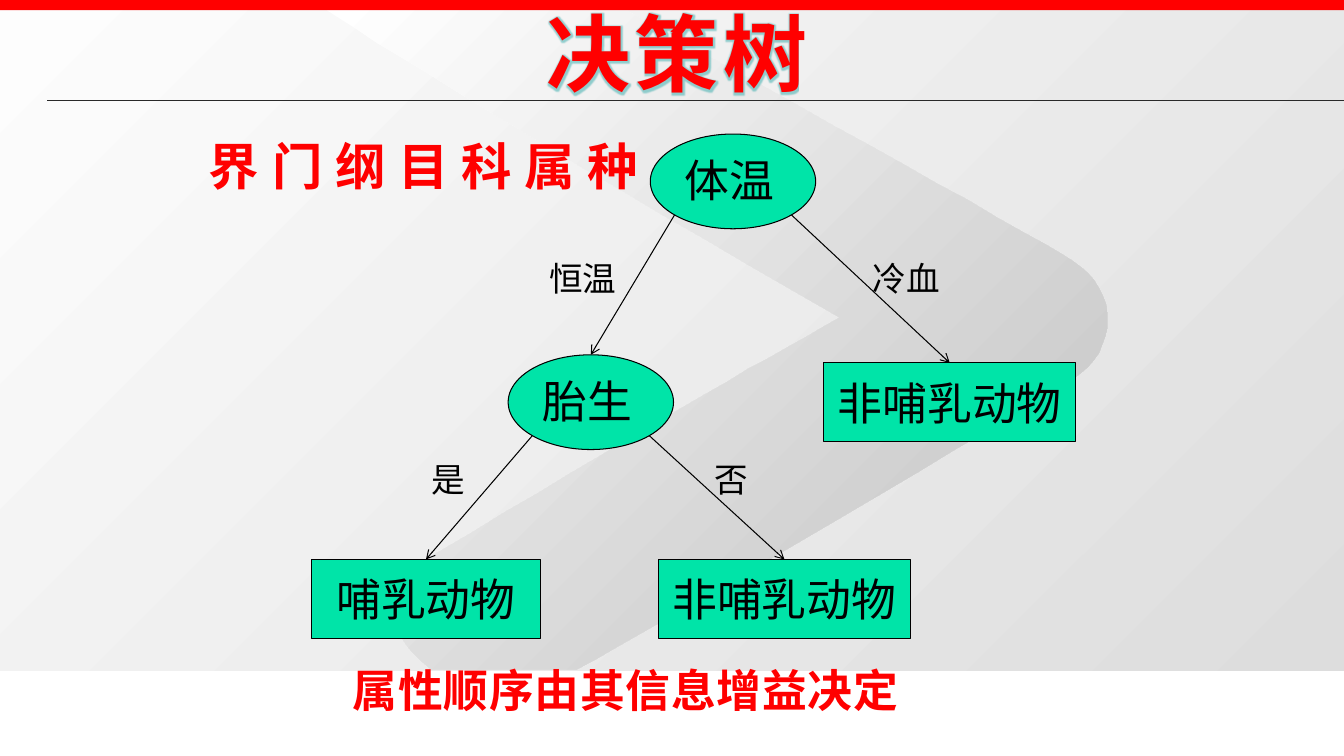
from math import sqrt

from lxml import etree
from pptx import Presentation
from pptx.dml.color import RGBColor
from pptx.enum.shapes import MSO_CONNECTOR, MSO_SHAPE
from pptx.enum.text import MSO_ANCHOR, PP_ALIGN
from pptx.oxml import parse_xml
from pptx.oxml.ns import nsdecls, qn
from pptx.util import Pt

PX = 9144  # 100 px to the inch
RECT, OVAL = MSO_SHAPE.RECTANGLE, MSO_SHAPE.OVAL
STRAIGHT = MSO_CONNECTOR.STRAIGHT
LEFT, CENTER = PP_ALIGN.LEFT, PP_ALIGN.CENTER
TOP, MIDDLE = MSO_ANCHOR.TOP, MSO_ANCHOR.MIDDLE

FONT = "Noto Sans CJK JP"
TITLE_FONT = "Noto Sans CJK SC"
RED, BLACK, GREEN = "FF0000", "000000", "00E4A8"

# Chevron outline: a 2-tuple is a straight step, a 6-tuple a Bezier curve
CHEVRON_START = (1064, 376)
CHEVRON = [
    (1019, 404, 656, 620, 572, 664),
    (427, 664),
    (404, 645, 364, 608, 431, 550),
    (627, 433, 750, 361, 833, 315),
    (579, 169, 389, 53, 324, 10),
    (473, 8, 621, 10, 621, 10),
    (719, 65, 1018, 230, 1064, 259),
    (1111, 289, 1109, 347, 1064, 376),
]


def px(n):
    return int(n * PX)


def rgb(value):
    return RGBColor.from_string(value)


def curve_points(start, curve, steps=16):
    """Points along a cubic Bezier curve, without its start."""
    pts = [start, curve[0:2], curve[2:4], curve[4:6]]
    points = []
    for i in range(1, steps + 1):
        t = i / steps
        weights = ((1 - t) ** 3, 3 * t * (1 - t) ** 2, 3 * t * t * (1 - t), t ** 3)
        points.append(tuple(sum(w * p[axis] for w, p in zip(weights, pts))
                            for axis in (0, 1)))
    return points


def fill_gradient(sp, first, last):
    sp.fill.gradient()
    sp.fill.gradient_angle = 315  # towards the lower right
    for stop, color, position in zip(sp.fill.gradient_stops, (first, last), (0, 1)):
        stop.color.rgb = rgb(color)
        stop.position = position


def add_block(slide, kind, box):
    sp = slide.shapes.add_shape(kind, *map(px, box))
    sp.shadow.inherit = False
    sp.line.fill.background()
    return sp


def add_chevron(slide):
    points = [CHEVRON_START]
    for step in CHEVRON:
        points += [step] if len(step) == 2 else curve_points(points[-1], step)
    builder = slide.shapes.build_freeform(*points[0], scale=PX)
    builder.add_line_segments(points[1:], close=True)
    sp = builder.convert_to_shape()
    sp.shadow.inherit = False
    sp.line.fill.background()
    fill_gradient(sp, "FFFFFF", "C0C0C0")


def set_text(sp, text, size, color=BLACK, font=FONT, bold=False, align=LEFT,
             anchor=TOP, wrap=True, spacing=0):
    tf = sp.text_frame
    tf.word_wrap = wrap
    tf.vertical_anchor = anchor
    tf.text = text
    p = tf.paragraphs[0]
    p.alignment = align
    r = p.runs[0]
    r.font.size = Pt(size)
    r.font.bold = bold
    r.font.color.rgb = rgb(color)
    r.font.name = font
    rpr = r.font._element
    etree.SubElement(rpr, qn("a:ea")).set("typeface", font)
    if spacing:
        rpr.set("spc", str(int(spacing * 100)))
    return r


def add_text(slide, box, text, size, **style):
    sp = slide.shapes.add_textbox(*map(px, box))
    return set_text(sp, text, size, **style)


def add_node(slide, kind, box, text):
    sp = add_block(slide, kind, box)
    sp.fill.solid()
    sp.fill.fore_color.rgb = rgb(GREEN)
    sp.line.color.rgb = rgb(BLACK)
    sp.line.width = Pt(0.75)
    is_leaf = kind == RECT
    set_text(sp, text, 32, wrap=False, align=CENTER if is_leaf else LEFT,
             anchor=MIDDLE if is_leaf else TOP)
    return sp


def add_line(slide, start, end, color, width, arrow=False):
    line = slide.shapes.add_connector(STRAIGHT, *map(int, (*start, *end)))
    line.line.color.rgb = rgb(color)
    line.line.width = Pt(width)
    if arrow:
        etree.SubElement(line.line._get_or_add_ln(), qn("a:tailEnd")).set("type", "arrow")
    etree.SubElement(line._element.spPr, qn("a:effectLst"))


def add_branch(slide, parent, child, side):
    """Arrow from an ellipse's lower left (-1) or right (1) to a child's top."""
    reach = sqrt(2) / 4
    start = (parent.left + parent.width * (0.5 + side * reach),
             parent.top + parent.height * (0.5 + reach))
    end = (child.left + child.width / 2, child.top)
    add_line(slide, start, end, BLACK, 0.75, arrow=True)


def add_title(slide):
    r = add_text(slide, (351, -3, 641, 111), "决策树", 60, color=RED,
                 font=TITLE_FONT, bold=True, align=CENTER, spacing=3)
    rpr = r.font._element
    rpr.insert(0, parse_xml(
        f'<a:ln {nsdecls("a")} w="11430"><a:solidFill>'
        '<a:srgbClr val="FFF4F4"/></a:solidFill></a:ln>'))
    rpr.insert(2, parse_xml(
        f'<a:effectLst {nsdecls("a")}><a:glow rad="45500"><a:srgbClr val="4FB5B5">'
        '<a:alpha val="60000"/></a:srgbClr></a:glow></a:effectLst>'))


def main():
    prs = Presentation()
    prs.slide_width, prs.slide_height = px(1333), px(750)
    slide = prs.slides.add_slide(prs.slide_layouts[6])

    # Background and title
    fill_gradient(add_block(slide, RECT, (0, 8, 1333, 657)), "FDFDFD", "DDDDDD")
    add_chevron(slide)
    band = add_block(slide, RECT, (0, 0, 1333, 10))
    band.fill.solid()
    band.fill.fore_color.rgb = rgb(RED)
    add_line(slide, (px(47), px(100)), (px(1333), px(100)), "292929", 1)
    add_title(slide)

    # Tree nodes
    temperature = add_node(slide, OVAL, (645, 133, 164, 94), "体温")
    birth = add_node(slide, OVAL, (504, 352, 164, 94), "胎生")
    cold = add_node(slide, RECT, (817, 360, 250, 78), "非哺乳动物")
    mammal = add_node(slide, RECT, (309, 555, 227, 78), "哺乳动物")
    other = add_node(slide, RECT, (653, 555, 250, 78), "非哺乳动物")

    # Branches and their labels
    for parent, child, side in [(temperature, birth, -1), (temperature, cold, 1),
                                (birth, mammal, -1), (birth, other, 1)]:
        add_branch(slide, parent, child, side)
    for x, y, w, text in [(535, 251, 94, "恒温"), (856, 251, 94, "冷血"),
                          (418, 450, 62, "是"), (699, 450, 55, "否")]:
        add_text(slide, (x, y, w, 51), text, 24)

    # Red remarks
    remark = dict(color=RED, bold=True, align=CENTER, spacing=0.5)
    add_text(slide, (192, 129, 457, 71), "界 门 纲 目 科 属 种", 36, wrap=False, **remark)
    add_text(slide, (283, 653, 675, 64), "属性顺序由其信息增益决定", 32, **remark)

    prs.save("out.pptx")


if __name__ == "__main__":
    main()
